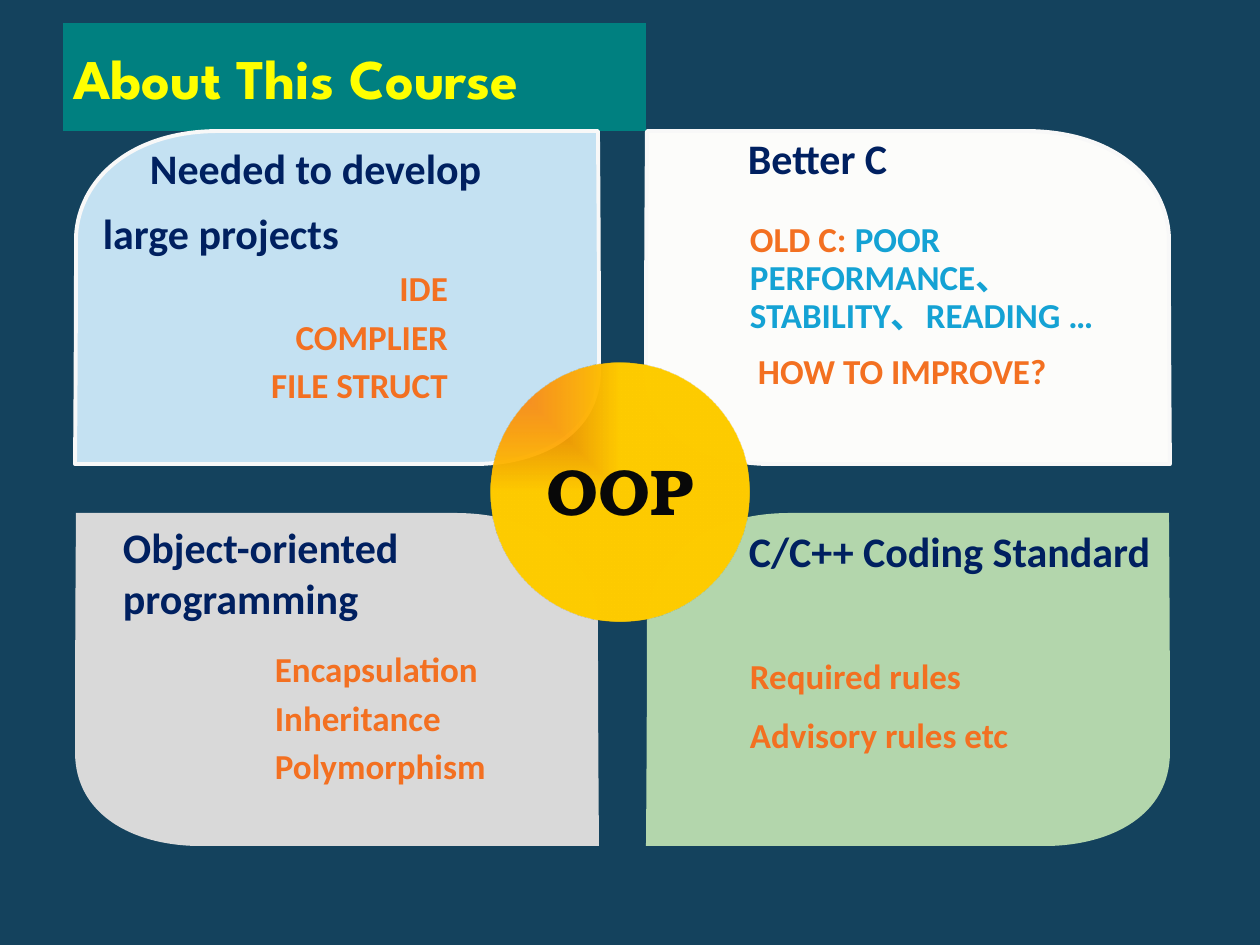
import pptx
import pptx.util
import pptx.dml.color
import pptx.enum.shapes
import pptx.enum.text
import pptx.oxml
import pptx.oxml.ns

PX = 914400 // 126
NAVY, ORANGE, BLUE = "002060", "F37021", "14A2D4"
HEAD = dict(size=24, color=NAVY)
ITEM = dict(size=20, color=ORANGE)

PANEL_WIDTH = 524
PANELS = [
    (75, 131, False, "C4E1F2", "F8F8F8"),
    (646, 131, True, "FCFCFA", "F8F8F8"),
    (75, 513, True, "D9D9D9", None),
    (646, 513, False, "B3D6AC", None),
]
OUTLINE_START = (402, 333)
OUTLINE_CURVES = [
    [(201, 333), (0, 333), (0, 333)],
    [(0, 333), (1, 218), (1, 105)],
    [(4, 49), (55, 0), (144, 0)],
    [(334, 0), (523, 0), (523, 0)],
    [(523, 0), (524, 120), (524, 239)],
    [(524, 302), (466, 332), (402, 333)],
]

TEXTS = [
    ((89, 143, 509, 127), ["Needed to develop", "large projects"],
     dict(HEAD, leading=25, indents=(47, 0))),
    ((533, 445, 174, 92), ["OOP"],
     dict(size=37, color="080808", font="TeX Gyre Bonum", wrap=False)),
    ((124, 272, 338, 151), ["IDE", "COMPLIER", "FILE STRUCT"],
     dict(ITEM, leading=17.6, align="RIGHT")),
    ((734, 127, 266, 64), ["Better C"], HEAD),
    ((736, 215, 438, 190),
     [[("OLD C: ", ORANGE), ("POOR PERFORMANCE、STABILITY、READING …", BLUE)],
      "HOW TO IMPROVE?"],
     dict(ITEM, leading=21.8, indents=(0, 8))),
    ((109, 516, 384, 116), ["Object-oriented programming"], HEAD),
    ((261, 653, 343, 151), ["Encapsulation", "Inheritance", "Polymorphism"],
     dict(ITEM, leading=17.6)),
    ((735, 520, 454, 64), ["C/C++ Coding Standard"], HEAD),
    ((736, 648, 418, 120), ["Required rules", "Advisory rules etc"], ITEM),
]

GRADIENT = (
    '<a:gradFill %s rotWithShape="1"><a:gsLst>'
    '<a:gs pos="0"><a:srgbClr val="FF6600"><a:alpha val="80000"/></a:srgbClr></a:gs>'
    '<a:gs pos="100000"><a:srgbClr val="FFCC00"/></a:gs></a:gsLst>'
    '<a:path path="rect"><a:fillToRect r="100000" b="100000"/></a:path></a:gradFill>'
) % pptx.oxml.ns.nsdecls("a")
CUBIC = "<a:cubicBezTo %s/>" % pptx.oxml.ns.nsdecls("a")


def rgb(value):
    return pptx.dml.color.RGBColor.from_string(value)


def paint(item, color):
    item.fill.solid()
    item.fill.fore_color.rgb = rgb(color)


def box(values):
    return [v * PX for v in values]


def write(tf, paragraphs, size, color, font="Calibri", leading=None,
          align="LEFT", indents=(), wrap=True, inset=(14, 6)):
    tf.word_wrap = wrap
    tf.auto_size = pptx.enum.text.MSO_AUTO_SIZE.NONE
    tf.margin_left = tf.margin_right = inset[0] * PX
    tf.margin_top = tf.margin_bottom = inset[1] * PX
    for i, content in enumerate(paragraphs):
        p = tf.add_paragraph() if i else tf.paragraphs[0]
        p.alignment = getattr(pptx.enum.text.PP_ALIGN, align)
        if leading:
            p.line_spacing = pptx.util.Pt(leading)
        p.space_before = pptx.util.Pt(size / 2 if i else 0)
        if indents and indents[i]:
            p._p.get_or_add_pPr().set("indent", str(indents[i] * PX))
        runs = [(content, color)] if isinstance(content, str) else content
        for text, run_color in runs:
            r = p.add_run()
            r.text = text
            r.font.name = font
            r.font.size = pptx.util.Pt(size)
            r.font.bold = True
            r.font.color.rgb = rgb(run_color)


def bend_lines(sp):
    lines = list(sp._element.iter(pptx.oxml.ns.qn("a:lnTo")))
    for i in range(0, len(lines), 3):
        cubic = pptx.oxml.parse_xml(CUBIC)
        lines[i].addprevious(cubic)
        for line in lines[i:i + 3]:
            cubic.append(line[0])
            line.getparent().remove(line)


def add_panel(s, left, top, mirrored, fill, line):
    outline = [OUTLINE_START, *sum(OUTLINE_CURVES, [])]
    points = [(left + (PANEL_WIDTH - x if mirrored else x), top + y)
              for x, y in outline]
    builder = s.shapes.build_freeform(*points[0], scale=PX)
    builder.add_line_segments(points[1:], close=False)
    sp = builder.convert_to_shape()
    bend_lines(sp)
    path = next(sp._element.iter(pptx.oxml.ns.qn("a:path")))
    path.append(pptx.oxml.parse_xml("<a:close %s/>" % pptx.oxml.ns.nsdecls("a")))
    sp.shadow.inherit = False
    paint(sp, fill)
    if line:
        sp.line.color.rgb = rgb(line)
        sp.line.width = pptx.util.Pt(2.25)
    else:
        sp.line.fill.background()


def main():
    prs = pptx.Presentation()
    prs.slide_width, prs.slide_height = pptx.util.Inches(10), pptx.util.Inches(7.5)
    s = prs.slides.add_slide(prs.slide_layouts[5])
    paint(s.background, "14425D")

    title = s.shapes.title
    title.left, title.top, title.width, title.height = box((63, 23, 583, 108))
    paint(title, "008080")
    title.text_frame.vertical_anchor = pptx.enum.text.MSO_ANCHOR.MIDDLE
    write(title.text_frame, ["About This Course"], size=32, color="FFFF00",
          font="League Spartan", inset=(10, 5))

    for panel in PANELS:
        add_panel(s, *panel)

    circle = s.shapes.add_shape(pptx.enum.shapes.MSO_SHAPE.OVAL,
                                *box((491, 363, 258, 258)))
    circle.shadow.inherit = False
    circle.line.fill.background()
    circle._element.spPr.find(pptx.oxml.ns.qn("a:prstGeom")).addnext(
        pptx.oxml.parse_xml(GRADIENT))

    for place, paragraphs, style in TEXTS:
        write(s.shapes.add_textbox(*box(place)).text_frame, paragraphs, **style)

    prs.save("out.pptx")


if __name__ == "__main__":
    main()
